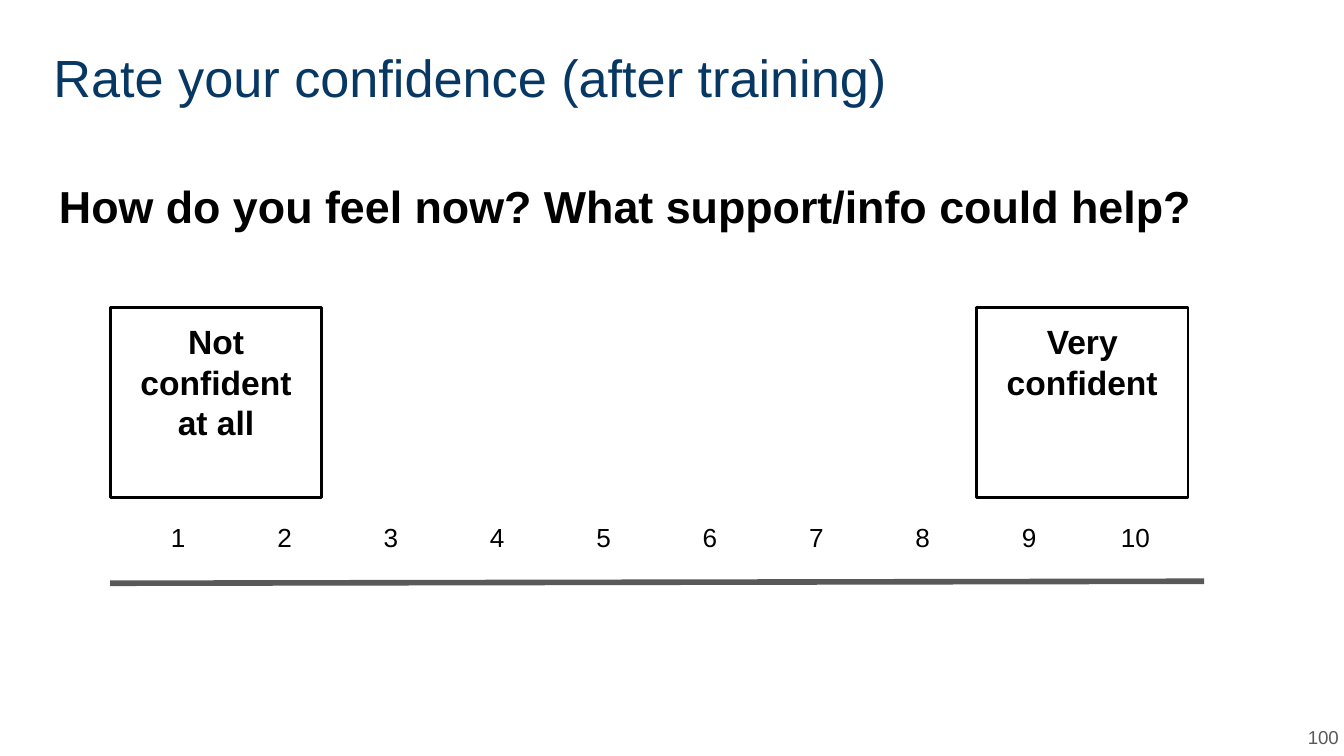
from lxml import etree
from pptx import Presentation
from pptx import util as u
from pptx.dml.color import RGBColor
from pptx.enum import shapes, text
from pptx.oxml.ns import qn

PX = 4572
FONT = "Arial"
BLACK, NAVY, GREY = "000000", "073763", "595959"
LEFT, CENTER, RIGHT = text.PP_ALIGN.LEFT, text.PP_ALIGN.CENTER, text.PP_ALIGN.RIGHT
TOP, MIDDLE = text.MSO_ANCHOR.TOP, text.MSO_ANCHOR.MIDDLE


def px(*values):
    return [u.Emu(v * PX) for v in values]


def color(hex_value):
    return RGBColor.from_string(hex_value)


def set_margins(target):
    inset, = px(20)
    target.margin_left = target.margin_right = inset
    target.margin_top = target.margin_bottom = inset


def write(tf, words, size, ink=BLACK, bold=False, align=LEFT, spacing=1.0):
    p = tf.paragraphs[0]
    p.alignment = align
    p.line_spacing = spacing
    r = p.add_run()
    r.text = words
    r.font.name = FONT
    r.font.size = u.Pt(size)
    r.font.bold = bold
    r.font.color.rgb = color(ink)


def prepare_frame(sp, anchor):
    tf = sp.text_frame
    tf.word_wrap = True
    tf.vertical_anchor = anchor
    set_margins(tf)
    return tf


def add_text(s, box, words, size, anchor=TOP, **style):
    sp = s.shapes.add_textbox(*px(*box))
    write(prepare_frame(sp, anchor), words, size, **style)


def add_label_box(s, box, words):
    sp = s.shapes.add_shape(shapes.MSO_SHAPE.RECTANGLE, *px(*box))
    sp.shadow.inherit = False
    sp.fill.background()
    sp.line.color.rgb = color(BLACK)
    sp.line.width = u.Pt(1.5)
    write(prepare_frame(sp, TOP), words, 18, bold=True, align=CENTER)


def add_numbers(s, box, count):
    table = s.shapes.add_table(1, count, *px(*box)).table
    table.first_row = False
    table.horz_banding = False
    for i, cell in enumerate(table.rows[0].cells):
        cell.fill.background()
        set_margins(cell)
        write(cell.text_frame, str(i + 1), 14, align=CENTER)


def add_scale_line(s, start, end):
    line = s.shapes.add_connector(shapes.MSO_CONNECTOR.STRAIGHT, *px(*start, *end))
    line.line.color.rgb = color(GREY)
    line.line.width = u.Pt(3)
    etree.SubElement(line._element.spPr, qn("a:effectLst"))


def add_rating_scale(s, box):
    x, y, w, h = box
    label_w, label_h = 315, 283
    add_scale_line(s, (x, y + h), (x + w, y + h - 3))
    add_label_box(s, (x, y, label_w, label_h), "Not confident at all")
    add_label_box(s, (x + w - label_w - 24, y, label_w, label_h), "Very confident")
    add_numbers(s, (x + 22, y + label_h + 19, 1583, 84), 10)


def main():
    prs = Presentation()
    prs.slide_width, prs.slide_height = px(2000, 1125)
    s = prs.slides.add_slide(prs.slide_layouts[6])
    add_text(s, (60, 48, 1872, 126), "Rate your confidence (after training)", 28, ink=NAVY)
    add_text(s, (68, 234, 1864, 766), "How do you feel now? What support/info could help?",
             24, bold=True, spacing=1.15)
    add_rating_scale(s, (164, 458, 1628, 410))
    add_text(s, (1892, 1054, 120, 86), "100", 10, anchor=MIDDLE, ink=GREY, align=RIGHT)
    prs.save("out.pptx")


if __name__ == "__main__":
    main()
